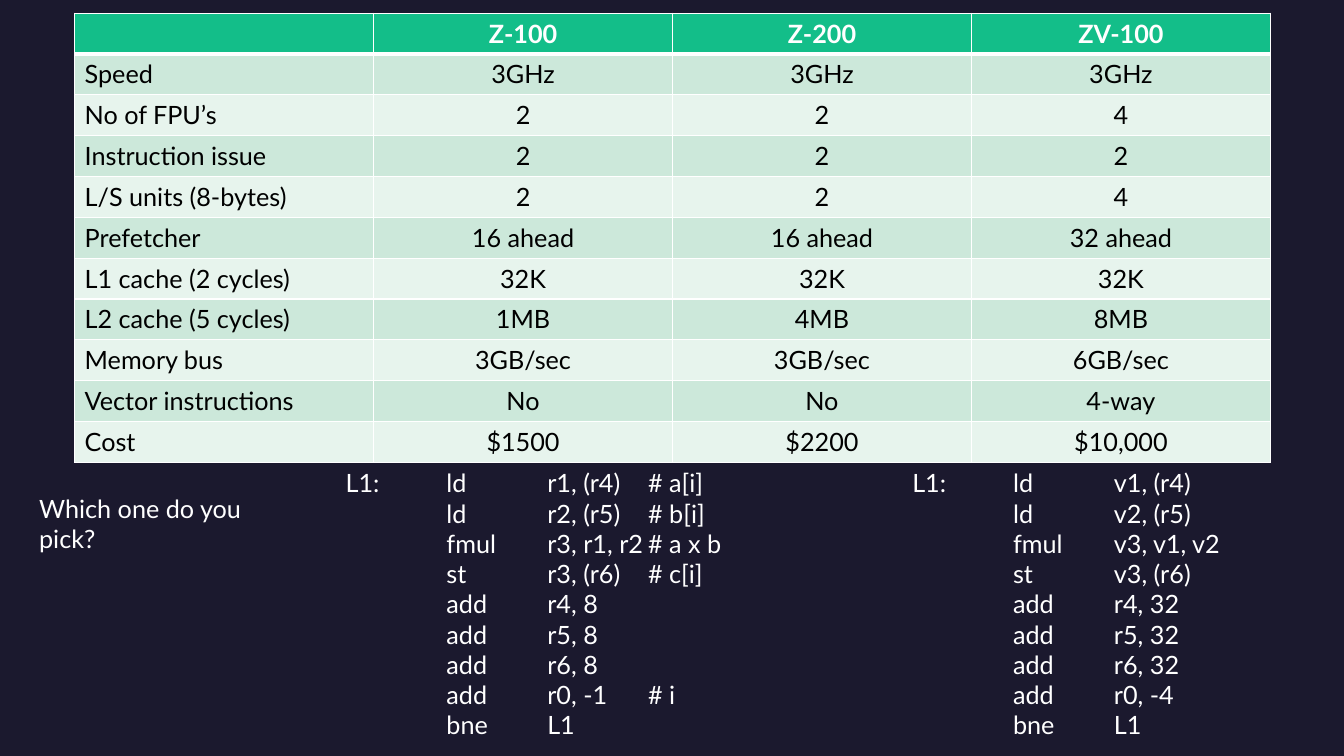
"""Build a slide comparing three processors with their loop code."""
import pptx
import pptx.util
import pptx.dml.color
import pptx.enum.text
import pptx.oxml.ns
from lxml import etree

Inches = pptx.util.Inches
Pt = pptx.util.Pt
RGBColor = pptx.dml.color.RGBColor
qn = pptx.oxml.ns.qn

NAVY = RGBColor(0x1B, 0x19, 0x2E)
GREEN = RGBColor(0x13, 0xBE, 0x89)
MINT = RGBColor(0xCC, 0xE8, 0xDA)
PALE = RGBColor(0xE7, 0xF4, 0xED)
WHITE = RGBColor(0xFF, 0xFF, 0xFF)
BLACK = RGBColor(0, 0, 0)

SPECS = [
    ("", "Z-100", "Z-200", "ZV-100"),
    ("Speed", "3GHz", "3GHz", "3GHz"),
    ("No of FPU’s", "2", "2", "4"),
    ("Instruction issue", "2", "2", "2"),
    ("L/S units (8-bytes)", "2", "2", "4"),
    ("Prefetcher", "16 ahead", "16 ahead", "32 ahead"),
    ("L1 cache (2 cycles)", "32K", "32K", "32K"),
    ("L2 cache (5 cycles)", "1MB", "4MB", "8MB"),
    ("Memory bus", "3GB/sec", "3GB/sec", "6GB/sec"),
    ("Vector instructions", "No", "No", "4-way"),
    ("Cost", "$1500", "$2200", "$10,000"),
]
SCALAR = """L1:\tld\tr1, (r4)\t# a[i]
\tld\tr2, (r5)\t# b[i]
\tfmul\tr3, r1, r2\t# a x b
\tst\tr3, (r6)\t# c[i]
\tadd\tr4, 8
\tadd\tr5, 8
\tadd\tr6, 8
\tadd\tr0, -1\t# i
\tbne\tL1"""
VECTOR = """L1:\tld\tv1, (r4)
\tld\tv2, (r5)
\tfmul\tv3, v1, v2
\tst\tv3, (r6)
\tadd\tr4, 32
\tadd\tr5, 32
\tadd\tr6, 32
\tadd\tr0, -4
\tbne\tL1"""
NOTES = [
    (0.29, 4.84, 2.67, 0.4, "Which one do you pick?"),
    (3.33, 4.59, 4.35, 3.13, SCALAR),
    (8.95, 4.59, 3.83, 3.13, VECTOR),
]


def style(para, color, bold=False):
    """Format every run of a paragraph."""
    for run in para.runs:
        run.font.name = "Lato"
        run.font.size = Pt(18)
        run.font.bold = bold
        run.font.color.rgb = color


def edge(cell, sides, width):
    """Draw white borders on the given sides of a cell."""
    props = cell._tc.get_or_add_tcPr()
    for spot, side in enumerate(sides):
        line = etree.Element(qn("a:ln" + side), w=str(Pt(width)))
        fill = etree.SubElement(line, qn("a:solidFill"))
        etree.SubElement(fill, qn("a:srgbClr"), val=str(WHITE))
        props.insert(spot, line)


deck = pptx.Presentation()
deck.slide_width = Inches(13.33)
deck.slide_height = Inches(7.5)
slide = deck.slides.add_slide(deck.slide_layouts[6])
slide.background.fill.solid()
slide.background.fill.fore_color.rgb = NAVY

frame = slide.shapes.add_table(len(SPECS), 4, Inches(0.74), Inches(0.13),
                               Inches(11.86), Inches(4.46))
table = frame.table
for r, row in enumerate(SPECS):
    head = r == 0
    for c, value in enumerate(row):
        cell = table.cell(r, c)
        cell.fill.solid()
        cell.fill.fore_color.rgb = GREEN if head else MINT if r % 2 else PALE
        edge(cell, "LRTB", 1)
        cell.text_frame.text = value
        para = cell.text_frame.paragraphs[0]
        if c:
            para.alignment = pptx.enum.text.PP_ALIGN.CENTER
        style(para, WHITE if head else BLACK, head)
        if head:
            cell._tc.tcPr.find(qn("a:lnB")).set("w", str(Pt(3)))
        elif r == 1:
            cell._tc.tcPr.find(qn("a:lnT")).set("w", str(Pt(3)))

for left, top, width, height, words in NOTES:
    box = slide.shapes.add_textbox(Inches(left), Inches(top),
                                   Inches(width), Inches(height))
    box.text_frame.word_wrap = True
    box.text_frame.text = words
    for para in box.text_frame.paragraphs:
        if "\t" in words:
            tabs = etree.SubElement(para._p.get_or_add_pPr(), qn("a:tabLst"))
            for stop in range(1, 4):
                etree.SubElement(tabs, qn("a:tab"), pos=str(Inches(stop)), algn="l")
        style(para, WHITE)

deck.save("out.pptx")
